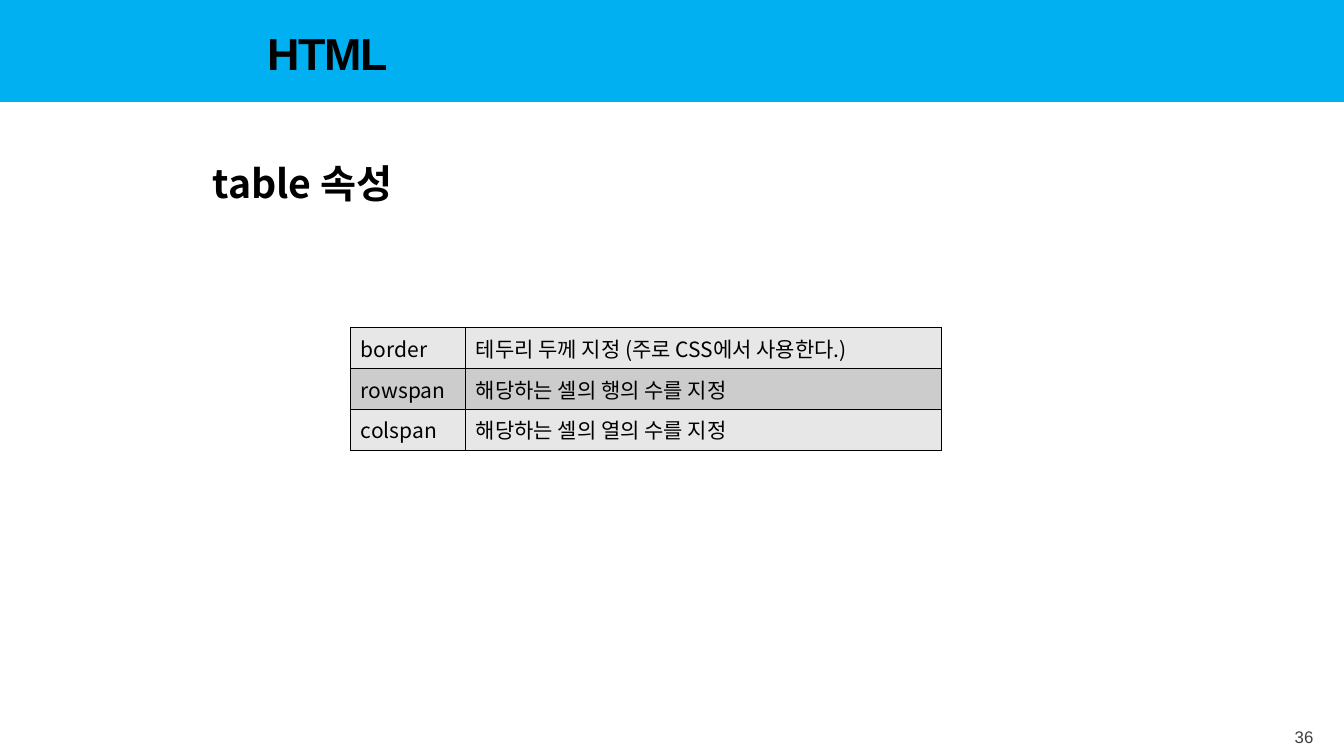
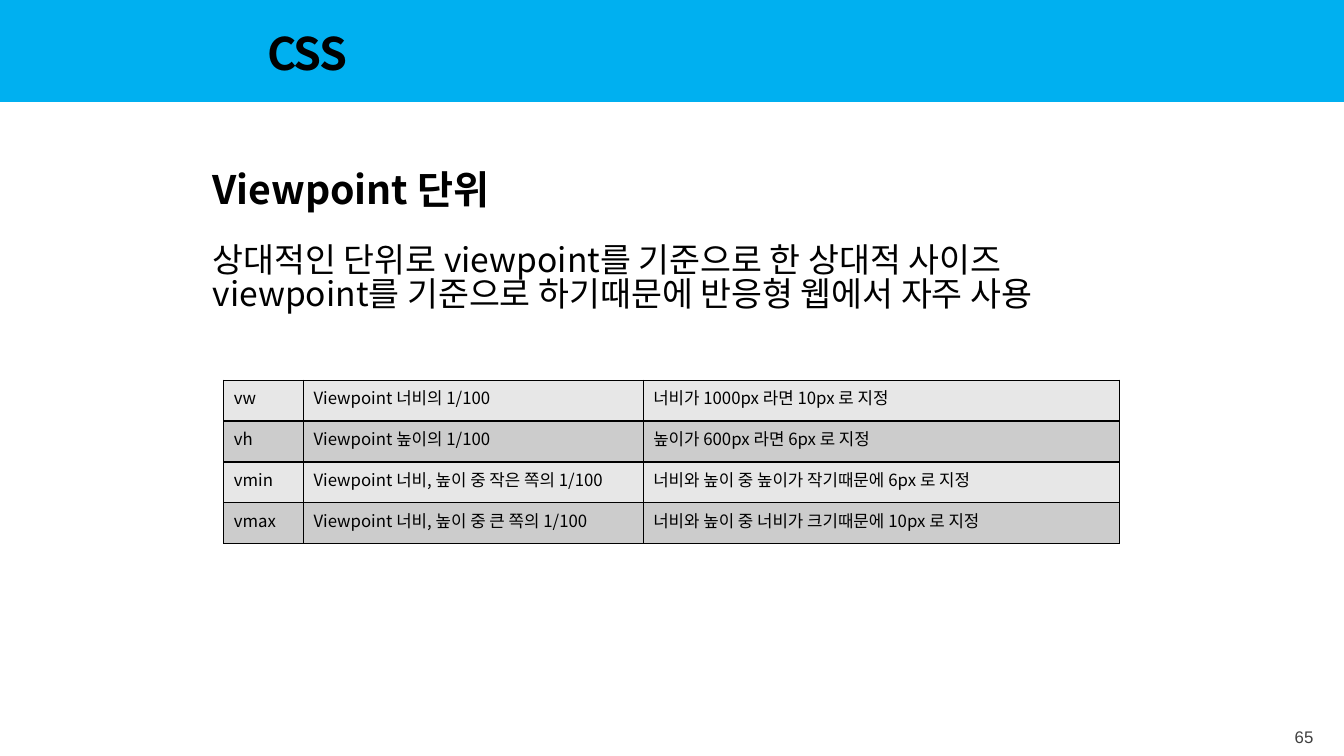
from dataclasses import dataclass

from lxml import etree
from pptx import Presentation
from pptx.dml.color import RGBColor
from pptx.enum.shapes import MSO_SHAPE
from pptx.enum.text import MSO_ANCHOR, MSO_AUTO_SIZE, PP_ALIGN
from pptx.oxml.ns import qn
from pptx.util import Cm, Pt

RECTANGLE = MSO_SHAPE.RECTANGLE
TOP, MIDDLE = MSO_ANCHOR.TOP, MSO_ANCHOR.MIDDLE
LEFT, RIGHT = PP_ALIGN.LEFT, PP_ALIGN.RIGHT
NO_AUTOFIT = MSO_AUTO_SIZE.NONE
TITLE_ONLY, TITLE_AND_BODY = 5, 1


@dataclass(frozen=True)
class Theme:
    band: str = "00B0F0"
    text: str = "000000"
    muted: str = "404040"
    row_fills: tuple[str, str] = ("E7E7E7", "CCCCCC")
    latin: str = "Arial"
    korean: str = "Noto Sans CJK KR"
    title_size: float = 32
    heading_size: float = 28
    body_size: float = 24
    number_size: float = 12
    border: float = 1


@dataclass(frozen=True)
class Area:
    """Left, top, width and height in centimetres."""
    left: float
    top: float
    width: float
    height: float

    def lengths(self) -> tuple:
        return Cm(self.left), Cm(self.top), Cm(self.width), Cm(self.height)


@dataclass(frozen=True)
class TableContent:
    left: float
    top: float
    widths: tuple[float, ...]
    size: float
    rows: tuple[tuple[str, ...], ...]


@dataclass(frozen=True)
class PageContent:
    title: str
    title_font: str
    number: int
    heading: str
    heading_top: float
    table: TableContent
    body: tuple[str, ...] = ()


THEME = Theme()
PAGE_WIDTH, PAGE_HEIGHT = 33.87, 19.05
BAND_AREA = Area(0, 0, PAGE_WIDTH, 2.57)
TITLE_AREA = Area(6.48, 0.51, 19.61, 1.63)
BODY_AREA = Area(5.11, 5.92, 23.67, 9.5)
NUMBER_AREA = Area(32.31, 18.19, 1.04, 0.76)
HEADING_HEIGHT = 1.6
ROW_HEIGHT = 1.03
INSET = 0.25

PAGES = (
    PageContent(
        "HTML", THEME.latin, 36, "table 속성", 3.81,
        TableContent(8.84, 8.26, (2.9, 11.99), 15, (
            ("border", "테두리 두께 지정 (주로 CSS에서 사용한다.)"),
            ("rowspan", "해당하는 셀의 행의 수를 지정"),
            ("colspan", "해당하는 셀의 열의 수를 지정"),
        )),
    ),
    PageContent(
        "CSS", THEME.korean, 65, "Viewpoint 단위", 3.96,
        TableContent(5.64, 9.58, (2.01, 8.56, 12.01), 12, (
            ("vw", "Viewpoint 너비의 1/100", "너비가 1000px 라면 10px 로 지정"),
            ("vh", "Viewpoint 높이의 1/100", "높이가 600px 라면 6px 로 지정"),
            ("vmin", "Viewpoint 너비, 높이 중 작은 쪽의 1/100",
             "너비와 높이 중 높이가 작기때문에 6px 로 지정"),
            ("vmax", "Viewpoint 너비, 높이 중 큰 쪽의 1/100",
             "너비와 높이 중 너비가 크기때문에 10px 로 지정"),
        )),
        ("상대적인 단위로 viewpoint를 기준으로 한 상대적 사이즈",
         "viewpoint를 기준으로 하기때문에 반응형 웹에서 자주 사용"),
    ),
)


def write_text(frame, *lines: str, size: float, font: str = THEME.korean,
               color: str = THEME.text, bold: bool = False, align=LEFT,
               line_spacing: float = 1.0, tracking: float = 0) -> None:
    """Fill a text frame with one unbulleted paragraph per line."""
    for index, line in enumerate(lines):
        para = frame.paragraphs[0] if index == 0 else frame.add_paragraph()
        properties = para._p.get_or_add_pPr()
        properties.set("marL", "0")
        properties.set("indent", "0")
        etree.SubElement(properties, qn("a:buNone"))
        para.alignment = align
        para.line_spacing = line_spacing
        para.space_before = Pt(0)
        span = para.add_run()
        span.text = line
        span.font.size = Pt(size)
        span.font.name = font
        span.font.bold = bold
        span.font.color.rgb = RGBColor.from_string(color)
        run_properties = span._r.get_or_add_rPr()
        etree.SubElement(run_properties, qn("a:ea")).set("typeface", font)
        if tracking:
            run_properties.set("spc", str(int(tracking * 100)))


def place_frame(box, area: Area, *, anchor, inset: float | None = None):
    """Position a box and return its prepared text frame."""
    box.left, box.top, box.width, box.height = area.lengths()
    frame = box.text_frame
    frame.word_wrap = True
    frame.auto_size = NO_AUTOFIT
    frame.vertical_anchor = anchor
    if inset is not None:
        frame.margin_left = frame.margin_right = Cm(inset)
        frame.margin_top = frame.margin_bottom = Cm(inset)
    return frame


def add_text(page, area: Area, *, anchor, inset: float | None = None):
    box = page.shapes.add_textbox(*area.lengths())
    return place_frame(box, area, anchor=anchor, inset=inset)


def draw_shared_parts(page, content: PageContent) -> None:
    # Band, kept behind the title
    band = page.shapes.add_shape(RECTANGLE, *BAND_AREA.lengths())
    band.shadow.inherit = False
    band.fill.solid()
    band.fill.fore_color.rgb = RGBColor.from_string(THEME.band)
    band.line.fill.background()
    title = page.shapes.title
    title.element.addprevious(band.element)

    # Title and page number
    frame = place_frame(title, TITLE_AREA, anchor=MIDDLE)
    write_text(frame, content.title, size=THEME.title_size,
               font=content.title_font, bold=True, tracking=-1)
    frame = add_text(page, NUMBER_AREA, anchor=TOP)
    write_text(frame, str(content.number), size=THEME.number_size,
               font=THEME.latin, color=THEME.muted, align=RIGHT)


def border_cell(cell) -> None:
    properties = cell._tc.get_or_add_tcPr()
    for index, side in enumerate(("lnL", "lnR", "lnT", "lnB")):
        line = etree.Element(qn(f"a:{side}"), w=str(Pt(THEME.border)))
        fill = etree.SubElement(line, qn("a:solidFill"))
        etree.SubElement(fill, qn("a:srgbClr")).set("val", THEME.text)
        properties.insert(index, line)


def draw_table(page, content: TableContent) -> None:
    area = Area(content.left, content.top, sum(content.widths),
                ROW_HEIGHT * len(content.rows))
    table = page.shapes.add_table(
        len(content.rows), len(content.widths), *area.lengths()).table
    table.first_row = table.horz_banding = False
    for column, width in zip(table.columns, content.widths):
        column.width = Cm(width)
    for row_index, texts in enumerate(content.rows):
        table.rows[row_index].height = Cm(ROW_HEIGHT)
        row_fill = THEME.row_fills[row_index % 2]
        for column_index, text in enumerate(texts):
            cell = table.cell(row_index, column_index)
            cell.vertical_anchor = TOP
            cell.fill.solid()
            cell.fill.fore_color.rgb = RGBColor.from_string(row_fill)
            border_cell(cell)
            write_text(cell.text_frame, text, size=content.size)


def build_page(deck, content: PageContent) -> None:
    layout = TITLE_AND_BODY if content.body else TITLE_ONLY
    page = deck.slides.add_slide(deck.slide_layouts[layout])
    draw_shared_parts(page, content)

    # Heading and body text
    heading_area = Area(BODY_AREA.left, content.heading_top,
                        BODY_AREA.width, HEADING_HEIGHT)
    frame = add_text(page, heading_area, anchor=MIDDLE, inset=INSET)
    write_text(frame, content.heading, size=THEME.heading_size, bold=True)
    if content.body:
        frame = place_frame(page.placeholders[1], BODY_AREA, anchor=TOP,
                            inset=INSET)
        write_text(frame, *content.body, size=THEME.body_size,
                   line_spacing=0.85)

    draw_table(page, content.table)


def main() -> None:
    deck = Presentation()
    deck.slide_width, deck.slide_height = Cm(PAGE_WIDTH), Cm(PAGE_HEIGHT)
    for content in PAGES:
        build_page(deck, content)
    deck.save("out.pptx")


if __name__ == "__main__":
    main()
